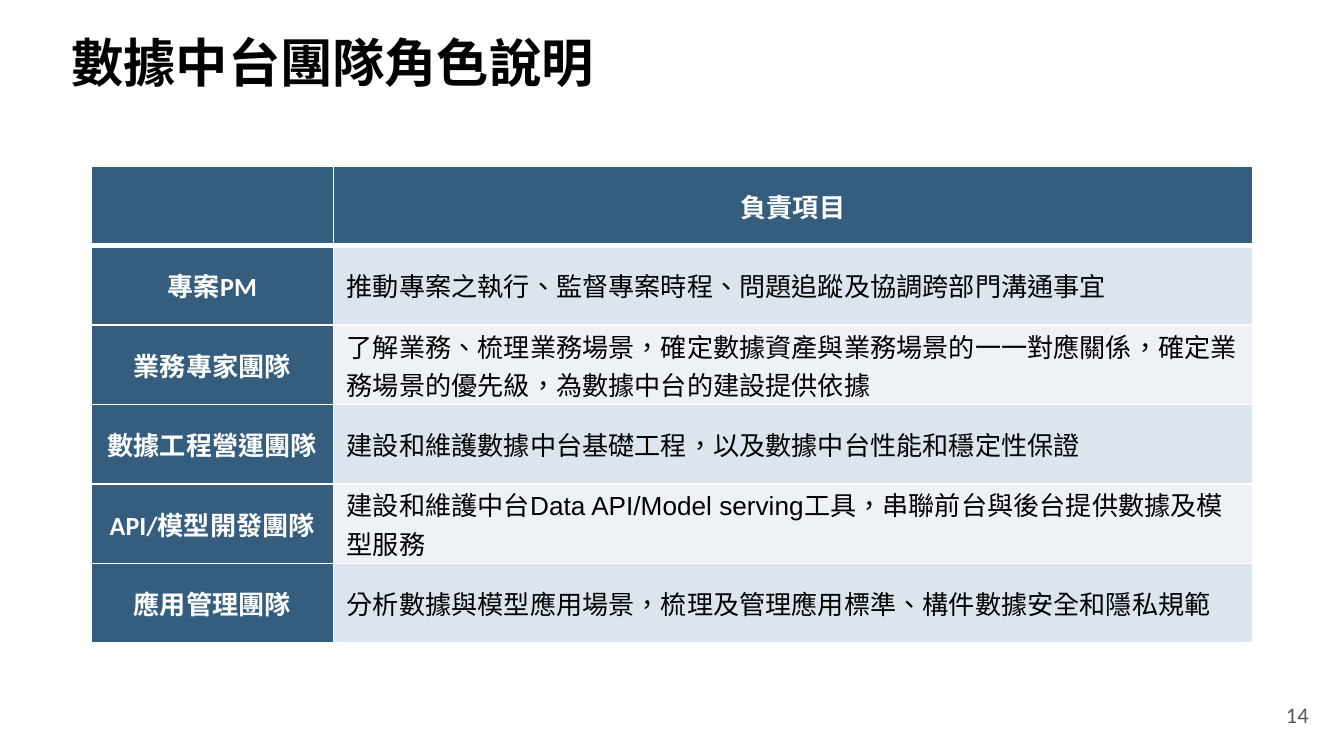
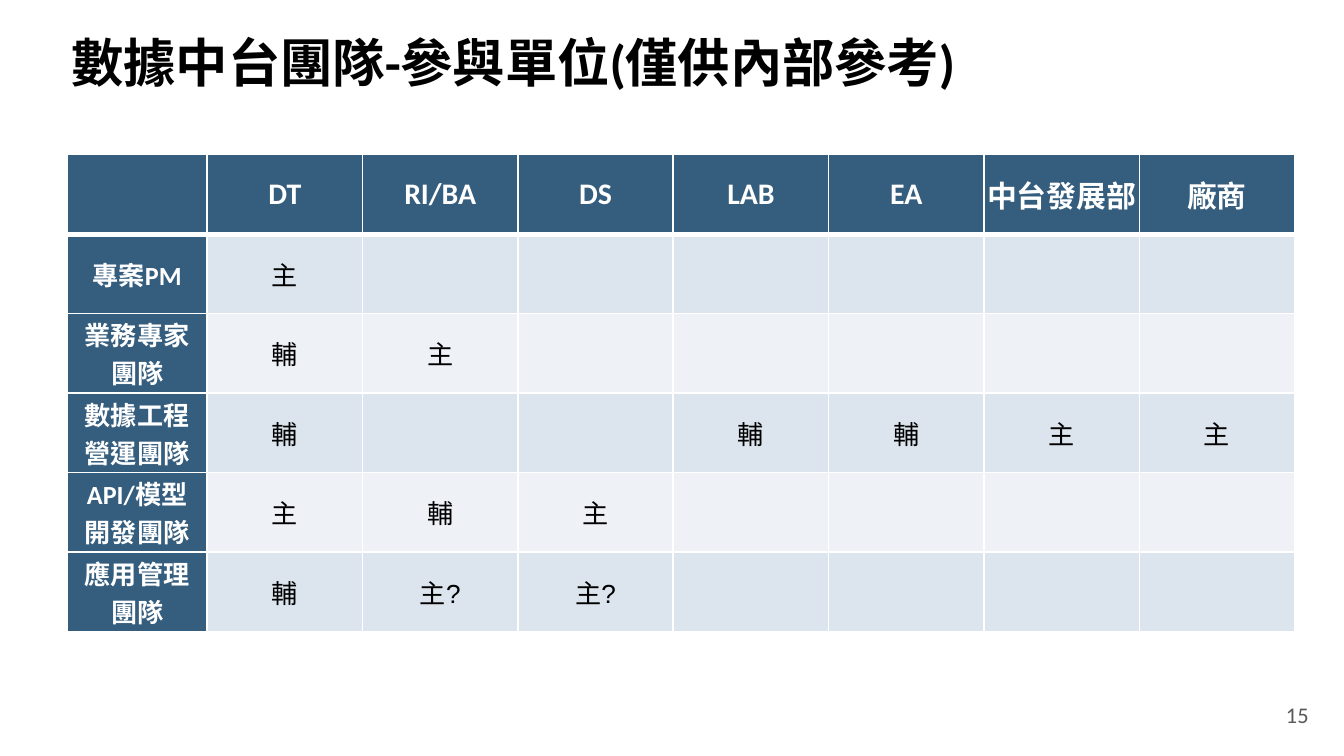
from lxml import etree
from pptx import Presentation
from pptx.dml.color import RGBColor
from pptx.enum.lang import MSO_LANGUAGE_ID
from pptx.enum.text import MSO_ANCHOR, PP_ALIGN
from pptx.oxml.ns import qn
from pptx.util import Inches, Pt

LEFT, CENTER = PP_ALIGN.LEFT, PP_ALIGN.CENTER
MIDDLE = MSO_ANCHOR.MIDDLE
CHINESE = MSO_LANGUAGE_ID.TRADITIONAL_CHINESE

BLACK = RGBColor(0x00, 0x00, 0x00)
WHITE = RGBColor(0xFF, 0xFF, 0xFF)
GRAY = RGBColor(0x59, 0x59, 0x59)
NAVY = RGBColor(0x34, 0x5D, 0x7E)
BANDS = (RGBColor(0xDC, 0xE5, 0xEE), RGBColor(0xEE, 0xF2, 0xF7))

HEAD, BODY = "Calibri", "Arial"
STEPS = 10  # grid steps per inch
COLS, ROWS = 100, 56.25


def grid(count):
    return Inches(count / STEPS)


def write(frame, text, size=14, font=HEAD, color=BLACK, bold=False,
          align=LEFT):
    """Fill a text frame, one paragraph per line of text."""
    frame.word_wrap = True
    for i, line in enumerate(text.split("\n")):
        par = frame.add_paragraph() if i else frame.paragraphs[0]
        par.alignment = align
        run = par.add_run()
        run.text = line
        style = run.font
        style.size, style.name, style.bold = Pt(size), font, bold
        style.color.rgb = color
        style.language_id = CHINESE


def border(cell, **widths):
    """Draw white cell edges; widths are points keyed by L, R, T, B."""
    props = cell._tc.get_or_add_tcPr()
    for side, width in widths.items():
        line = etree.SubElement(props, qn(f"a:ln{side}"), w=str(Pt(width)))
        fill = etree.SubElement(line, qn("a:solidFill"))
        etree.SubElement(fill, qn("a:srgbClr"), val=str(WHITE))


class Deck:
    def __init__(self):
        self.prs = Presentation()
        self.prs.slide_width = grid(COLS)
        self.prs.slide_height = grid(ROWS)
        self.slide = None

    def page(self, title, number):
        self.slide = self.prs.slides.add_slide(self.prs.slide_layouts[6])
        self.label(title, 4.35, 2.3, 91.3, 4.6, size=28, bold=True)
        self.label(str(number), 94.7, 51.6, 5.3, 3.1, size=12, color=GRAY)

    def label(self, text, x, y, w, h, **form):
        box = self.slide.shapes.add_textbox(*map(grid, (x, y, w, h)))
        box.text_frame.vertical_anchor = MIDDLE
        write(box.text_frame, text, **form)

    def table(self, data, x, y, widths, h=35.5, top=14, align=LEFT):
        """Add a table with a dark header row and a dark first column."""
        frame = self.slide.shapes.add_table(
            len(data), len(widths), *map(grid, (x, y, sum(widths), h)))
        table = frame.table
        table.first_row = table.horz_banding = False
        for col, width in zip(table.columns, widths):
            col.width = grid(width)
        for r, line in enumerate(data):
            table.rows[r].height = grid(h / len(data))
            for c in range(len(widths)):
                text = line[c] if c < len(line) else ""
                self.cell(table.cell(r, c), text, r, c, top, align)

    def cell(self, cell, text, r, c, top, align):
        dark = r == 0 or c == 0
        border(cell, L=1, R=1, T=3 if r == 1 else 1, B=3 if r == 0 else 1)
        cell.fill.solid()
        cell.fill.fore_color.rgb = NAVY if dark else BANDS[(r - 1) % 2]
        cell.vertical_anchor = MIDDLE
        cell.margin_top = cell.margin_bottom = 0
        cell.margin_left = cell.margin_right = grid(0.2 if dark else 1)
        if text and dark:
            write(cell.text_frame, text, size=14 if r else top, color=WHITE,
                  bold=True, align=CENTER)
        elif text:
            write(cell.text_frame, text, font=BODY, align=align)


DUTIES = [
    ("", "負責項目"),
    ("專案PM", "推動專案之執行、監督專案時程、問題追蹤及協調跨部門溝通事宜"),
    ("業務專家團隊", "了解業務、梳理業務場景，確定數據資產與業務場景的一一對應關係，"
                 "確定業務場景的優先級，為數據中台的建設提供依據"),
    ("數據工程營運團隊", "建設和維護數據中台基礎工程，以及數據中台性能和穩定性保證"),
    ("API/模型開發團隊", "建設和維護中台Data API/Model serving工具，"
                     "串聯前台與後台提供數據及模型服務"),
    ("應用管理團隊", "分析數據與模型應用場景，梳理及管理應用標準、"
                 "構件數據安全和隱私規範"),
]

# Short rows leave the remaining units empty
UNITS = [
    ("", "DT", "RI/BA", "DS", "LAB", "EA", "中台發展部", "廠商"),
    ("專案PM", "主"),
    ("業務專家\n團隊", "輔", "主"),
    ("數據工程\n營運團隊", "輔", "", "", "輔", "輔", "主", "主"),
    ("API/模型\n開發團隊", "主", "輔", "主"),
    ("應用管理\n團隊", "輔", "主?", "主?"),
]


def main():
    deck = Deck()

    # Team roles
    deck.page("數據中台團隊角色說明", 14)
    deck.table(DUTIES, 6.8, 12.35, [18, 68.4])

    # Units taking part
    deck.page("數據中台團隊-參與單位(僅供內部參考)", 15)
    deck.table(UNITS, 5, 11.5, [10.42] + [11.56] * 7, top=16, align=CENTER)

    deck.prs.save("out.pptx")


if __name__ == "__main__":
    main()
